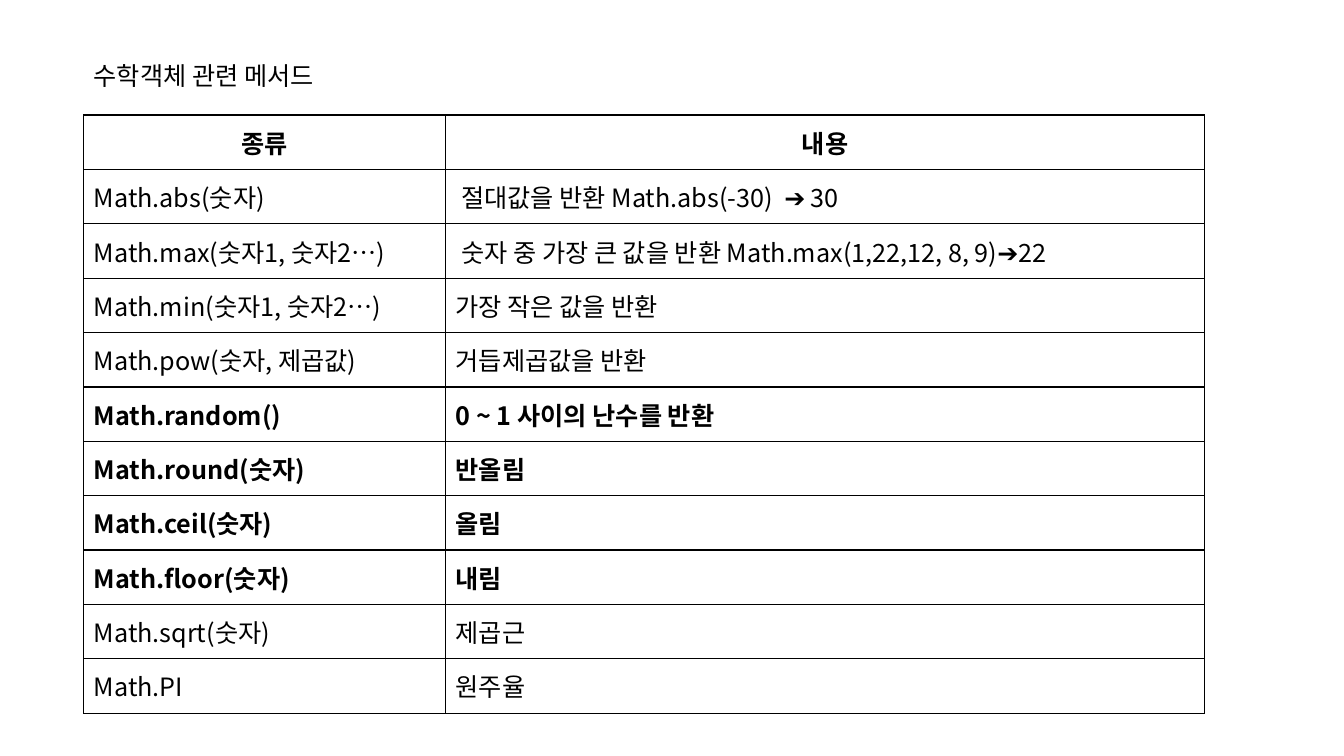
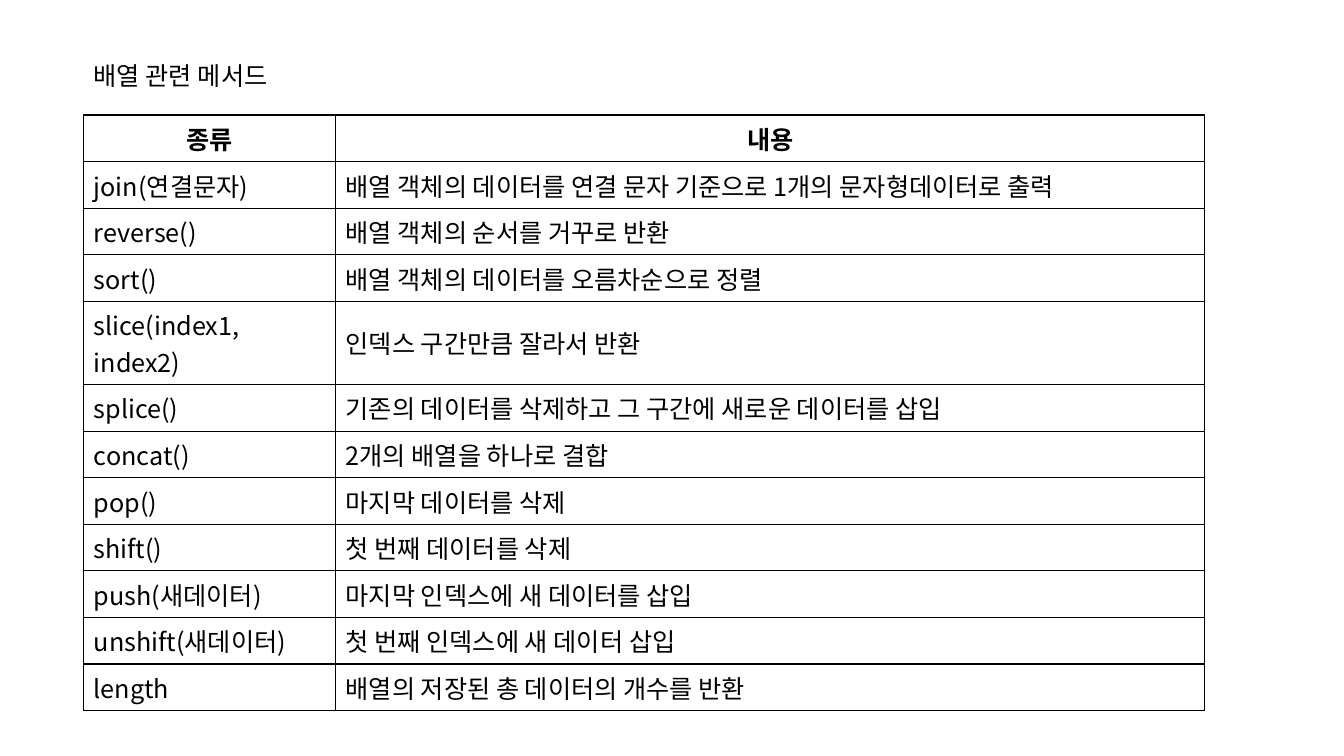
"""Build two slides that list JavaScript math and array methods in tables."""
import dataclasses

import lxml.etree
import pptx
import pptx.dml.color
import pptx.enum.text
import pptx.oxml.ns
import pptx.util

FONT = "Noto Sans CJK KR"
INK = "000000"
TEXT_SIZE = pptx.util.Pt(18)
BORDER_WIDTH = pptx.util.Pt(1)
LEFT = pptx.util.Cm(2.11)
TITLE_TOP = pptx.util.Cm(1.4)
TITLE_HEIGHT = pptx.util.Cm(1.02)
TABLE_TOP = pptx.util.Cm(2.9)
TABLE_WIDTH = pptx.util.Cm(28.25)
ALIGN = pptx.enum.text.PP_ALIGN


@dataclasses.dataclass(frozen=True)
class Method:
    """One table row: a method, what it does, and its emphasis and height."""

    name: str
    effect: str
    bold: bool = False
    lines: int = 1


@dataclasses.dataclass(frozen=True)
class Topic:
    """One slide: its title, its methods and the sizes of its table in cm."""

    title: str
    title_width: float
    name_width: float
    row_height: float
    extra_line: float
    methods: tuple[Method, ...]


HEADER = Method("종류", "내용", bold=True)

TOPICS = (
    Topic("수학객체 관련 메서드", 6.73, 9.12, 1.37, 0.91, (
        Method("Math.abs(숫자)", " 절대값을 반환 Math.abs(-30)  ➔ 30"),
        Method("Math.max(숫자1, 숫자2…)", " 숫자 중 가장 큰 값을 반환 Math.max(1,22,12, 8, 9)➔22"),
        Method("Math.min(숫자1, 숫자2…)", "가장 작은 값을 반환"),
        Method("Math.pow(숫자, 제곱값)", "거듭제곱값을 반환"),
        Method("Math.random()", "0 ~ 1 사이의 난수를 반환", bold=True),
        Method("Math.round(숫자)", "반올림", bold=True),
        Method("Math.ceil(숫자)", "올림", bold=True),
        Method("Math.floor(숫자)", "내림", bold=True),
        Method("Math.sqrt(숫자)", "제곱근"),
        Method("Math.PI", "원주율"),
    )),
    Topic("배열 관련 메서드", 5.46, 6.35, 1.17, 0.91, (
        Method("join(연결문자)", "배열 객체의 데이터를 연결 문자 기준으로 1개의 문자형데이터로 출력"),
        Method("reverse()", "배열 객체의 순서를 거꾸로 반환"),
        Method("sort()", "배열 객체의 데이터를 오름차순으로 정렬"),
        Method("slice(index1, index2)", "인덱스 구간만큼 잘라서 반환", lines=2),
        Method("splice()", "기존의 데이터를 삭제하고 그 구간에 새로운 데이터를 삽입"),
        Method("concat()", "2개의 배열을 하나로 결합"),
        Method("pop()", "마지막 데이터를 삭제"),
        Method("shift()", "첫 번째 데이터를 삭제"),
        Method("push(새데이터)", "마지막 인덱스에 새 데이터를 삽입"),
        Method("unshift(새데이터)", "첫 번째 인덱스에 새 데이터 삽입"),
        Method("length", "배열의 저장된 총 데이터의 개수를 반환"),
    )),
)


def color(value: str) -> pptx.dml.color.RGBColor:
    """Return the colour for a hex string."""
    return pptx.dml.color.RGBColor.from_string(value)


def write(frame, text: str, bold: bool, align: ALIGN) -> None:
    """Put one paragraph in the shared text style into a text frame."""
    frame.text = text
    paragraph = frame.paragraphs[0]
    paragraph.alignment = align
    font = paragraph.font
    font.size, font.bold, font.name = TEXT_SIZE, bold, FONT
    font.color.rgb = color(INK)
    defaults = paragraph._p.get_or_add_pPr().get_or_add_defRPr()
    lxml.etree.SubElement(defaults, pptx.oxml.ns.qn("a:ea"), typeface=FONT)


def draw_borders(cell) -> None:
    """Draw a thin line on all four sides of a cell."""
    qn = pptx.oxml.ns.qn
    properties = cell._tc.get_or_add_tcPr()
    for position, side in enumerate(("lnL", "lnR", "lnT", "lnB")):
        line = lxml.etree.Element(qn(f"a:{side}"), w=str(BORDER_WIDTH))
        fill = lxml.etree.SubElement(line, qn("a:solidFill"))
        lxml.etree.SubElement(fill, qn("a:srgbClr"), val=INK)
        properties.insert(position, line)


def add_title(slide, topic: Topic) -> None:
    """Place and fill the title placeholder."""
    title = slide.shapes.title
    title.left, title.top = LEFT, TITLE_TOP
    title.width, title.height = pptx.util.Cm(topic.title_width), TITLE_HEIGHT
    write(title.text_frame, topic.title, False, ALIGN.LEFT)
    title.text_frame.auto_size = pptx.enum.text.MSO_AUTO_SIZE.NONE
    title.text_frame.vertical_anchor = pptx.enum.text.MSO_ANCHOR.MIDDLE


def add_method_table(slide, topic: Topic) -> None:
    """Add the table of methods below the title."""
    methods = (HEADER, *topic.methods)
    heights = [
        pptx.util.Cm(topic.row_height + topic.extra_line * (method.lines - 1))
        for method in methods
    ]
    table = slide.shapes.add_table(
        len(methods), 2, LEFT, TABLE_TOP, TABLE_WIDTH, sum(heights)
    ).table
    table.first_row = table.horz_banding = False
    name_width = pptx.util.Cm(topic.name_width)
    table.columns[0].width = name_width
    table.columns[1].width = TABLE_WIDTH - name_width
    for row, method, height in zip(table.rows, methods, heights):
        row.height = height
        align = ALIGN.CENTER if method is HEADER else ALIGN.LEFT
        for cell, text in zip(row.cells, (method.name, method.effect)):
            cell.fill.background()
            cell.vertical_anchor = pptx.enum.text.MSO_ANCHOR.MIDDLE
            write(cell.text_frame, text, method.bold, align)
            draw_borders(cell)


def main() -> None:
    """Build and save the presentation."""
    deck = pptx.Presentation()
    deck.slide_width, deck.slide_height = pptx.util.Cm(33.87), pptx.util.Cm(19.05)
    title_only = deck.slide_layouts.get_by_name("Title Only")
    for topic in TOPICS:
        slide = deck.slides.add_slide(title_only)
        add_title(slide, topic)
        add_method_table(slide, topic)
    deck.save("out.pptx")


if __name__ == "__main__":
    main()
